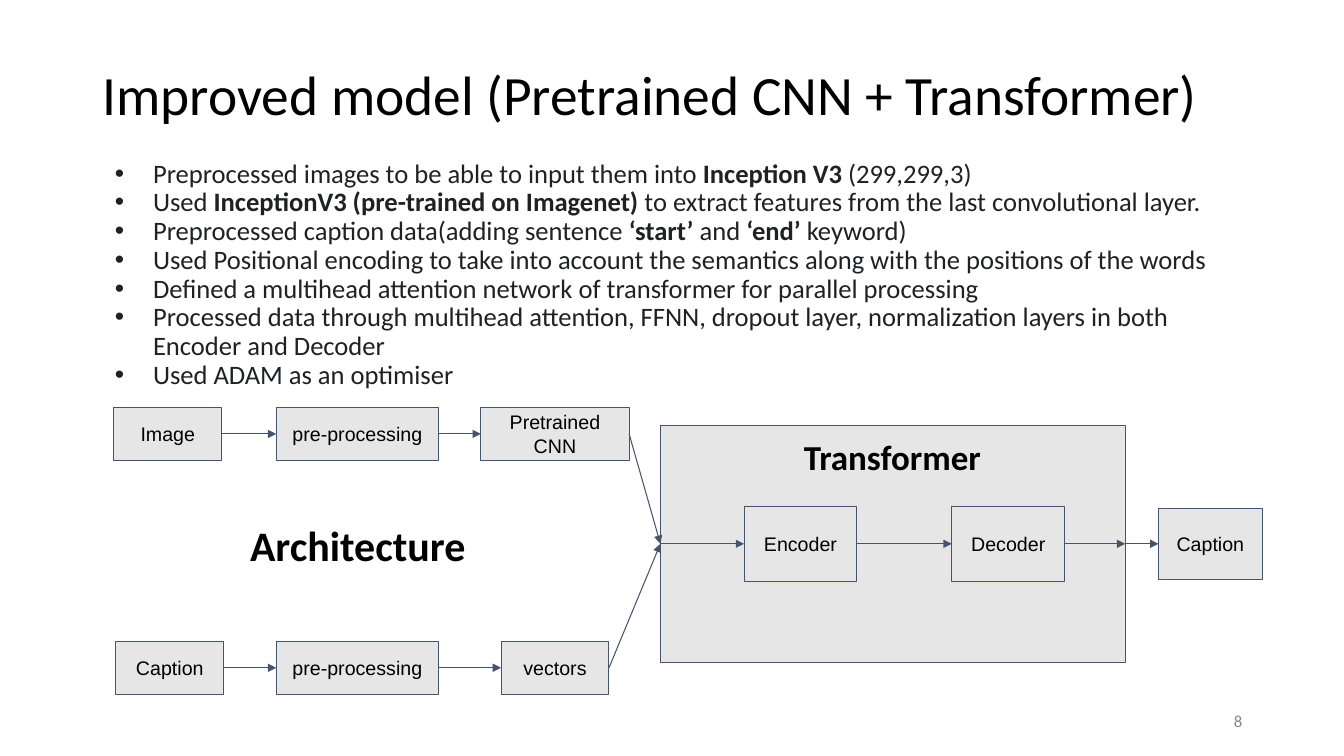
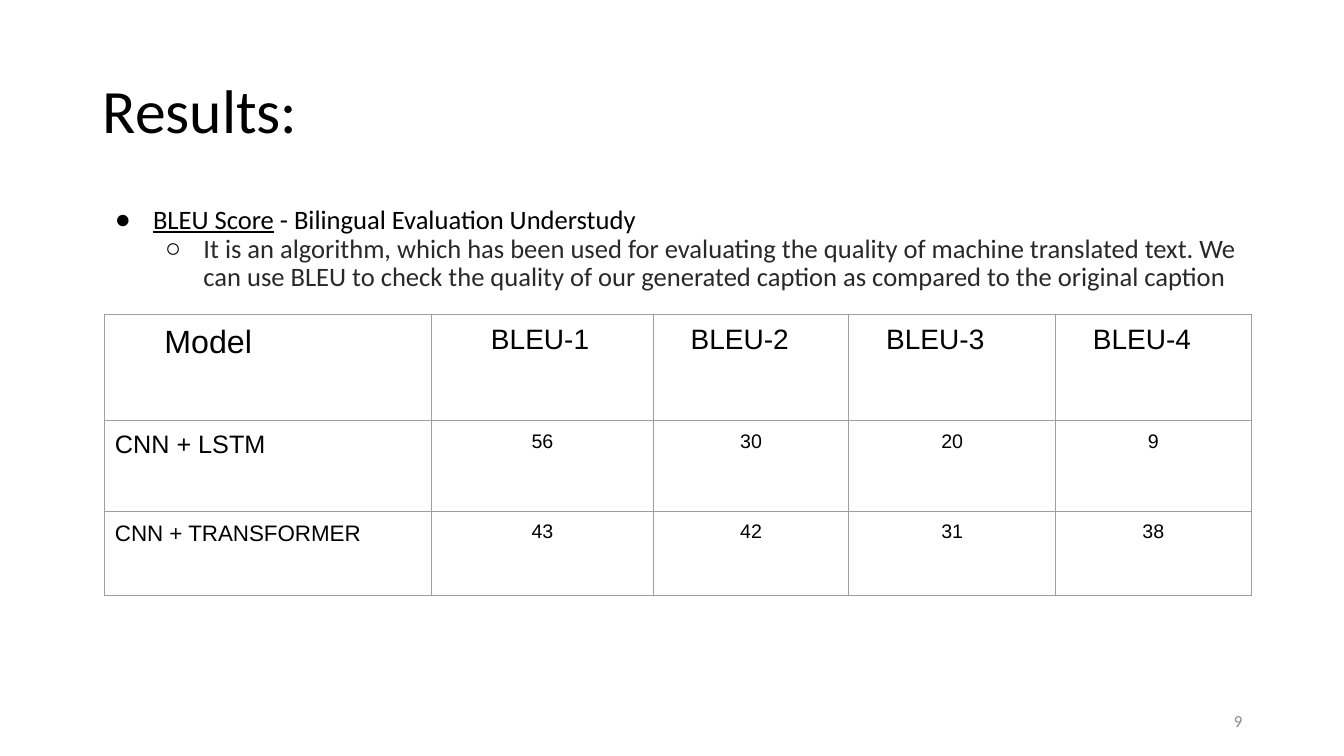
"""Build two slides: the improved captioning model and its BLEU results."""
from lxml import etree
from pptx import Presentation
from pptx.dml.color import RGBColor
from pptx.enum.shapes import MSO_CONNECTOR, MSO_SHAPE
from pptx.enum.text import MSO_ANCHOR as Anchor, PP_ALIGN as Align
from pptx.oxml.ns import qn
from pptx.util import Inches, Pt

rgb = RGBColor.from_string
BLACK, INK, SOFT_INK, PAGE_GREY = "000000", "202124", "292929", "888888"
BOX_FILL, BOX_LINE, TABLE_LINE = "E7E6E6", "44546A", "9E9E9E"
LINE_WIDTH = Pt(0.75)
HEAD, BODY = "Calibri", "Arial"
LEFT, WIDTH = 0.92, 11.5
LEFT_SITE, RIGHT_SITE = 1, 3


def style(paragraph, size, color=BLACK, face=HEAD, align=Align.LEFT, bold=False):
    paragraph.alignment = align
    font = paragraph.font
    font.size, font.name, font.bold = Pt(size), face, bold
    font.color.rgb = rgb(color)


def add_text(slide, at, text="", anchor=Anchor.TOP, margin=0.05):
    frame = slide.shapes.add_textbox(*map(Inches, at)).text_frame
    frame.word_wrap = True
    frame.vertical_anchor = anchor
    frame.margin_left = frame.margin_right = Inches(0.1)
    frame.margin_top = frame.margin_bottom = Inches(margin)
    frame.paragraphs[0].text = text
    return frame.paragraphs[0]


model_points = [
    ("•", 0.5, INK, INK, [("Preprocessed images to be able to input them into ", ""),
                          ("Inception V3 ", "b"), ("(299,299,3)", "")]),
    ("•", 0.5, INK, INK, [("Used ", ""), ("InceptionV3 (pre-trained on Imagenet)", "b"),
                          (" to extract features from the last convolutional layer.", "")]),
    ("•", 0.5, INK, INK, [("Preprocessed caption data(adding sentence ", ""), ("‘start’", "b"),
                          (" and ", ""), ("‘end’", "b"), (" keyword)", "")]),
]
model_points += [("•", 0.5, INK, INK, [(point, "")]) for point in (
    "Used Positional encoding to take into account the semantics along with the positions of the words",
    "Defined a multihead attention network of transformer for parallel processing",
    "Processed data through multihead attention, FFNN, dropout layer, normalization layers in both "
    "Encoder and Decoder",
    "Used ADAM as an optimiser",
)]
result_points = [
    ("●", 0.5, BLACK, BLACK, [("BLEU Score", "u"), (" - Bilingual Evaluation Understudy", "")]),
    ("○", 1, BLACK, SOFT_INK, [
        ("It is an algorithm, which has been used for evaluating the quality of machine translated "
         "text. We can use BLEU to check the quality of our generated caption as compared to the "
         "original caption", "")]),
]
pages = [
    ("Improved model (Pretrained CNN + Transformer)", 39.6, 1.14, 1.54, model_points),
    ("Results:", 44, 1.45, 2, result_points),
]

prs = Presentation()
prs.slide_width, prs.slide_height = Inches(13.33), Inches(7.5)

for number, (title, title_size, title_height, body_top, points) in enumerate(pages, 8):
    slide = prs.slides.add_slide(prs.slide_layouts[6])
    heading = add_text(slide, (LEFT, 0.4, WIDTH, title_height), title, Anchor.MIDDLE)
    heading.line_spacing = 0.9
    style(heading, title_size)

    paragraph = add_text(slide, (LEFT, body_top, WIDTH, 6.76 - body_top))
    body = paragraph
    for index, (mark, indent, mark_color, color, runs) in enumerate(points):
        if index:
            paragraph = etree.SubElement and slide.shapes[-1].text_frame.add_paragraph()
        paragraph.line_spacing = 0.9
        props = paragraph._p.get_or_add_pPr()
        props.set("marL", str(Inches(indent)))
        props.set("indent", str(Inches(-0.38)))
        mark_fill = etree.SubElement(props, qn("a:buClr"))
        etree.SubElement(mark_fill, qn("a:srgbClr"), val=mark_color)
        etree.SubElement(props, qn("a:buFont"), typeface=BODY)
        etree.SubElement(props, qn("a:buChar"), char=mark)
        style(paragraph, 19, color)
        for words, emphasis in runs:
            run = paragraph.add_run()
            run.text = words
            if emphasis == "b":
                run.font.bold = True
            elif emphasis == "u":
                run.font.underline = True

    page_number = add_text(slide, (9.42, 6.95, 3, 0.4), str(number), Anchor.MIDDLE)
    style(page_number, 12, PAGE_GREY, align=Align.RIGHT)

model_slide, results_slide = prs.slides

nodes = {
    "image": ("Image", 1.13, 4.04, 1.07, 0.53),
    "image prep": ("pre-processing", 2.74, 4.04, 1.61, 0.53),
    "cnn": ("Pretrained CNN", 4.77, 4.04, 1.47, 0.53),
    "caption": ("Caption", 1.15, 6.36, 1.07, 0.53),
    "caption prep": ("pre-processing", 2.74, 6.36, 1.61, 0.53),
    "vectors": ("vectors", 4.97, 6.36, 1.07, 0.53),
    "transformer": ("", 6.55, 4.22, 4.61, 2.35),
    "encoder": ("Encoder", 7.38, 5.02, 1.12, 0.75),
    "decoder": ("Decoder", 9.44, 5.02, 1.12, 0.75),
    "output": ("Caption", 11.49, 5.04, 1.03, 0.71),
}
boxes = {}
for key, (label, *at) in nodes.items():
    box = model_slide.shapes.add_shape(MSO_SHAPE.RECTANGLE, *map(Inches, at))
    box.shadow.inherit = False
    box.fill.solid()
    box.fill.fore_color.rgb = rgb(BOX_FILL)
    box.line.color.rgb = rgb(BOX_LINE)
    box.line.width = LINE_WIDTH
    frame = box.text_frame
    frame.word_wrap = True
    frame.vertical_anchor = Anchor.MIDDLE
    frame.margin_left = frame.margin_right = frame.margin_top = frame.margin_bottom = Inches(0.1)
    frame.paragraphs[0].text = label
    style(frame.paragraphs[0], 14, face=BODY, align=Align.CENTER)
    boxes[key] = box

flows = [
    ("image", RIGHT_SITE, "image prep", LEFT_SITE),
    ("image prep", RIGHT_SITE, "cnn", LEFT_SITE),
    ("cnn", RIGHT_SITE, "transformer", LEFT_SITE),
    ("caption", RIGHT_SITE, "caption prep", LEFT_SITE),
    ("caption prep", RIGHT_SITE, "vectors", LEFT_SITE),
    ("vectors", RIGHT_SITE, "transformer", LEFT_SITE),
    ("transformer", LEFT_SITE, "encoder", LEFT_SITE),
    ("encoder", RIGHT_SITE, "decoder", LEFT_SITE),
    ("decoder", RIGHT_SITE, "transformer", RIGHT_SITE),
    ("transformer", RIGHT_SITE, "output", LEFT_SITE),
]
for source, source_site, target, target_site in flows:
    arrow = model_slide.shapes.add_connector(MSO_CONNECTOR.STRAIGHT, 0, 0, 0, 0)
    arrow.begin_connect(boxes[source], source_site)
    arrow.end_connect(boxes[target], target_site)
    arrow.line.color.rgb = rgb(BOX_LINE)
    arrow.line.width = LINE_WIDTH
    etree.SubElement(arrow.line._get_or_add_ln(), qn("a:tailEnd"), type="triangle")
    etree.SubElement(arrow._element.spPr, qn("a:effectLst"))

for caption, size, at in (("Transformer", 25, (7.84, 4.22, 2.02, 0.62)),
                          ("Architecture", 30, (1.64, 5.05, 3.82, 0.71))):
    style(add_text(model_slide, at, caption, margin=0.1), size, align=Align.CENTER, bold=True)

scores = [
    ("Model", "BLEU-1", "BLEU-2", "BLEU-3", "BLEU-4"),
    ("CNN + LSTM", "56", "30", "20", "9"),
    ("CNN + TRANSFORMER", "43", "42", "31", "38"),
]
column_widths = (3.24, 2.2, 1.94, 2.05, 1.94)
row_heights = (1.05, 0.9, 0.84)
text_sizes = [(23, 20, 20, 20, 20), (18, 14, 14, 14, 14), (16, 14, 14, 14, 14)]
header_margins = (0.59, 0.59, 0.37, 0.37, 0.37)

table = results_slide.shapes.add_table(
    len(scores), len(column_widths), Inches(1.04), Inches(3.12),
    Inches(sum(column_widths)), Inches(sum(row_heights))).table
table.first_row = table.horz_banding = False
for column, width in zip(table.columns, column_widths):
    column.width = Inches(width)
for r, (row, height) in enumerate(zip(scores, row_heights)):
    table.rows[r].height = Inches(height)
    for c, value in enumerate(row):
        cell = table.cell(r, c)
        cell.text = value
        cell.margin_left = Inches(0.1 if r else header_margins[c])
        cell.margin_right = cell.margin_top = cell.margin_bottom = Inches(0.1)
        style(cell.text_frame.paragraphs[0], text_sizes[r][c], face=BODY,
              align=Align.CENTER if r and c else Align.LEFT)
        for side in ("a:lnL", "a:lnR", "a:lnT", "a:lnB"):
            border = etree.SubElement(cell._tc.get_or_add_tcPr(), qn(side), w=str(LINE_WIDTH))
            border_fill = etree.SubElement(border, qn("a:solidFill"))
            etree.SubElement(border_fill, qn("a:srgbClr"), val=TABLE_LINE)
        cell.fill.background()

prs.save("out.pptx")
